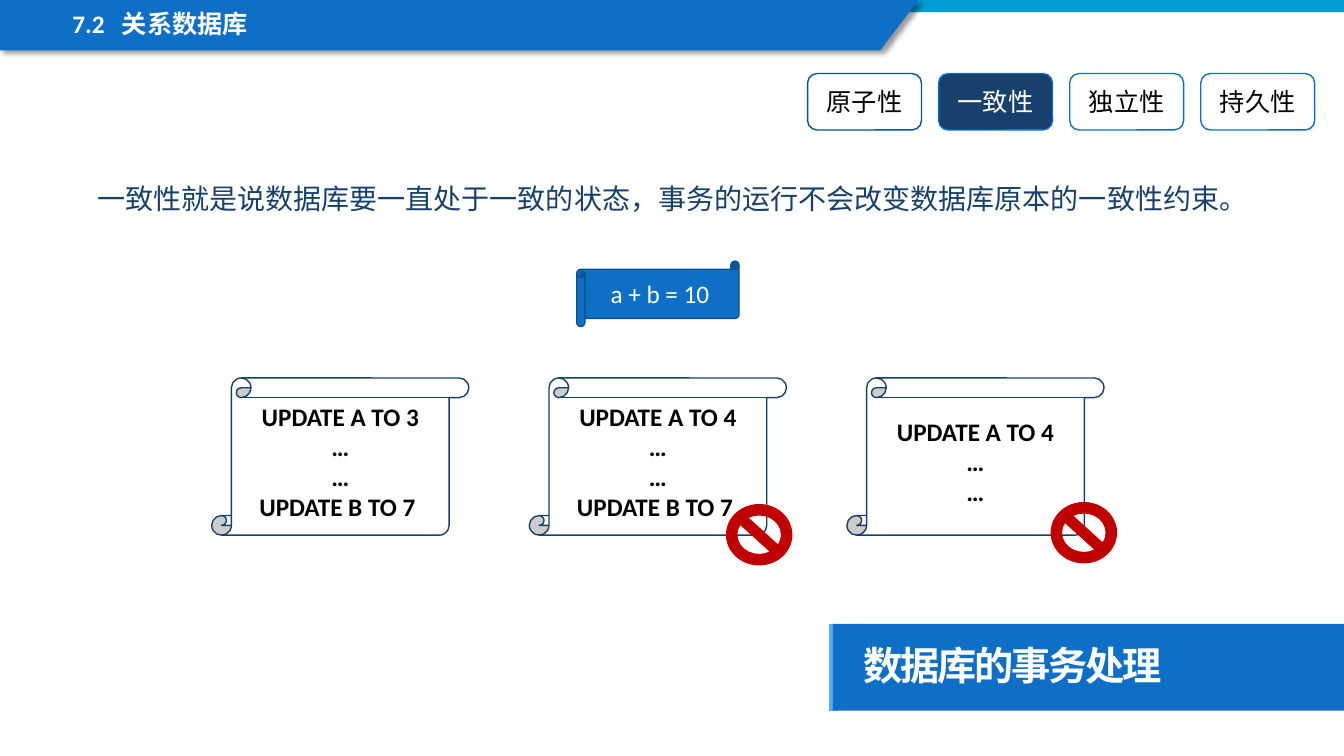
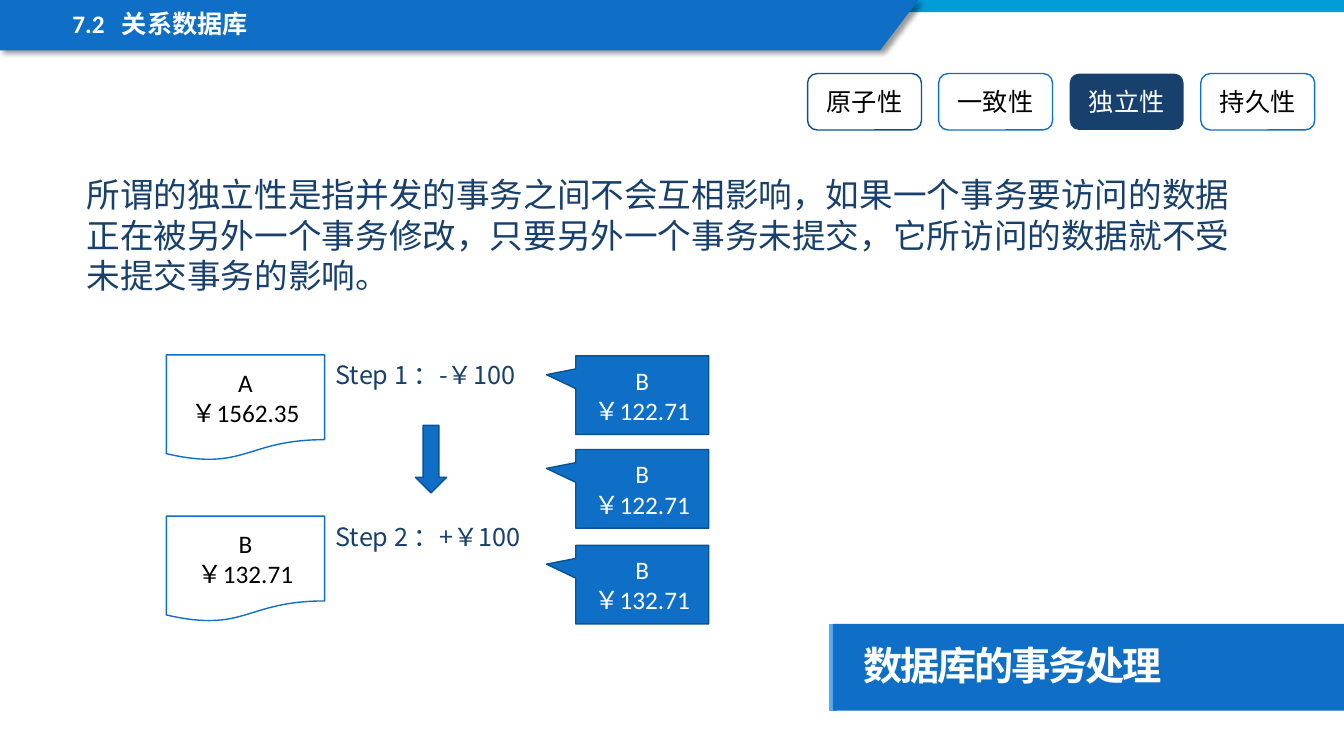
import lxml.etree
import pptx
import pptx.dml.color
import pptx.enum.shapes
import pptx.enum.text
import pptx.oxml
import pptx.oxml.ns
import pptx.util

Inches = pptx.util.Inches
Kind = pptx.enum.shapes.MSO_SHAPE
Align = pptx.enum.text.PP_ALIGN
Anchor = pptx.enum.text.MSO_ANCHOR
qn = pptx.oxml.ns.qn

BLUE, EDGE, NAVY, SKY, CYAN = "0F6FC6", "0B5292", "17406D", "59AAF2", "009DD9"
WHITE, BLACK, RED = "FFFFFF", "000000", "C00000"
LATIN, CHINESE = "Calibri", "Noto Sans CJK SC"

LABEL = {"size": 18, "name": LATIN, "color": BLACK}
LABEL_WHITE = {**LABEL, "color": WHITE}
CODE = {**LABEL, "bold": True}
HEADER = {**LABEL_WHITE, "bold": True}
TITLE = {"size": 28, "name": CHINESE, "color": WHITE, "bold": True}
NOTE = {"size": 18, "name": CHINESE, "color": NAVY}

TOPICS = ["原子性", "一致性", "独立性", "持久性"]
SHADOW = (
    f'<a:effectLst {pptx.oxml.ns.nsdecls("a")}>'
    '<a:outerShdw blurRad="50800" dist="38100" dir="2700000" algn="tl" rotWithShape="0">'
    '<a:srgbClr val="000000"><a:alpha val="40000"/></a:srgbClr>'
    '</a:outerShdw></a:effectLst>'
)


def rgb(value):
    return pptx.dml.color.RGBColor.from_string(value)


class Deck:
    """Holds the style and the current slide."""

    def __init__(self):
        self.deck = pptx.Presentation()
        self.deck.slide_width = Inches(13.33)
        self.deck.slide_height = Inches(7.5)
        self.layout = self.deck.slide_layouts[5]
        self.page = None

    def new_page(self, active, active_edge):
        first = self.page is None
        self.page = self.deck.slides.add_slide(self.layout)
        if first:
            self.share_bands()
        self.title("数据库的事务处理")
        self.section("7.2", "关系数据库")
        self.topics(active, active_edge)

    # Elements shared by all slides
    def share_bands(self):
        shapes = self.page.shapes
        rule = shapes.add_connector(
            pptx.enum.shapes.MSO_CONNECTOR.STRAIGHT,
            Inches(8.26), Inches(7.05), Inches(8.26), Inches(6.19))
        rule.line.color.rgb = rgb(SKY)
        rule.line.width = pptx.util.Pt(6)
        lxml.etree.SubElement(rule.element.spPr, qn("a:effectLst"))

        strip = self.shape(Kind.RECTANGLE, (0, 0, 13.33, 0.12), CYAN)

        outline = shapes.build_freeform(0, 0)
        corners = [(9.11, 0), (8.73, 0.5), (0, 0.5)]
        outline.add_line_segments([(Inches(x), Inches(y)) for x, y in corners])
        band = outline.convert_to_shape()
        self.paint(band, BLUE)
        band.element.spPr.remove(band.element.spPr.find(qn("a:effectLst")))
        band.element.spPr.append(pptx.oxml.parse_xml(SHADOW))

        for number, item in enumerate((rule, strip, band), 101):
            item.element.xpath("./*/p:cNvPr")[0].set("id", str(number))
            self.layout.shapes.element.append(item.element)

    def title(self, text):
        title = self.page.shapes.title
        self.place(title, (8.26, 6.19, 5.07, 0.86))
        title.fill.solid()
        title.fill.fore_color.rgb = rgb(BLUE)
        frame = title.text_frame
        frame.auto_size = pptx.enum.text.MSO_AUTO_SIZE.NONE
        margins = {"left": 0.3, "top": 0.2, "right": 0.2, "bottom": 0.2}
        for side, size in margins.items():
            setattr(frame, f"margin_{side}", Inches(size))
        self.fill_text(frame, [text], TITLE, Align.LEFT, Anchor.MIDDLE)
        para = frame.paragraphs[0]
        para.line_spacing = 0.9
        para.runs[0].font._element.set("spc", "-150")

    def section(self, number, name):
        box = self.text((0.62, 0.07, 6.96, 0.38), f"{number}\t{name}", HEADER)
        para = box.text_frame.paragraphs[0]
        para.line_spacing = 0.9
        stops = lxml.etree.SubElement(para._p.get_or_add_pPr(), qn("a:tabLst"))
        lxml.etree.SubElement(
            stops, qn("a:tab"), pos=str(Inches(0.49)), algn="l")

    def topics(self, active, active_edge):
        for index, topic in enumerate(TOPICS):
            fill, edge, style = WHITE, BLUE if index else EDGE, LABEL
            if topic == active:
                fill, edge, style = NAVY, active_edge, LABEL_WHITE
            self.shape(Kind.ROUNDED_RECTANGLE,
                       (8.01 + 1.3 * index, 0.73, 1.13, 0.56),
                       fill, edge, [topic], style)

    # Kinds of element
    def place(self, item, area):
        for name, size in zip(("left", "top", "width", "height"), area):
            setattr(item, name, Inches(size))

    def paint(self, item, fill, edge=None):
        item.shadow.inherit = False
        item.fill.solid()
        item.fill.fore_color.rgb = rgb(fill)
        if edge:
            item.line.color.rgb = rgb(edge)
            item.line.width = pptx.util.Pt(1)
        else:
            item.line.fill.background()

    def fill_text(self, frame, lines, style, align, anchor):
        frame.word_wrap = True
        frame.vertical_anchor = anchor
        for index, line in enumerate(lines):
            para = frame.add_paragraph() if index else frame.paragraphs[0]
            para.alignment = align
            span = para.add_run()
            span.text = line
            for name, value in style.items():
                if name == "color":
                    span.font.color.rgb = rgb(value)
                else:
                    value = pptx.util.Pt(value) if name == "size" else value
                    setattr(span.font, name, value)
            if style["name"] == CHINESE:
                lxml.etree.SubElement(
                    span.font._element, qn("a:ea"), typeface=CHINESE)

    def shape(self, kind, area, fill, edge=None, lines=(), style=LABEL):
        item = self.page.shapes.add_shape(kind, *map(Inches, area))
        self.paint(item, fill, edge)
        self.fill_text(item.text_frame, lines, style, Align.CENTER, Anchor.MIDDLE)
        return item

    def text(self, area, text, style, align=Align.LEFT):
        box = self.page.shapes.add_textbox(*map(Inches, area))
        self.fill_text(box.text_frame, [text], style, align, Anchor.TOP)
        return box

    def callout(self, top, lines):
        bubble = self.shape(Kind.RECTANGULAR_CALLOUT, (5.71, top, 1.32, 0.78),
                            BLUE, EDGE, lines, LABEL_WHITE)
        bubble.adjustments[0] = -0.72
        bubble.adjustments[1] = -0.26


def consistency(deck):
    deck.new_page("一致性", BLUE)
    deck.text((0.69, 1.75, 11.96, 0.44),
              "一致性就是说数据库要一直处于一致的状态，事务的运行不会改变数据库原本的一致性约束。",
              {**NOTE, "size": 20}, Align.CENTER)
    deck.shape(Kind.HORIZONTAL_SCROLL, (5.72, 2.59, 1.61, 0.65),
               BLUE, EDGE, ["a + b = 10"], LABEL_WHITE)

    # Transactions, two of which break the constraint
    transactions = [
        ["UPDATE A TO 3", "…", "…", "UPDATE B TO 7 "],
        ["UPDATE A TO 4", "…", "…", "UPDATE B TO 7 "],
        ["UPDATE A TO 4", "…", "…"],
    ]
    for index, lines in enumerate(transactions):
        deck.shape(Kind.VERTICAL_SCROLL, (2.1 + 3.15 * index, 3.75, 2.55, 1.56),
                   WHITE, NAVY, lines, CODE)
    for left, top in [(7.2, 5), (10.42, 4.98)]:
        deck.shape(Kind.NO_SYMBOL, (left, top, 0.66, 0.61), RED)


def isolation(deck):
    deck.new_page("独立性", None)
    deck.text((0.76, 1.68, 11.81, 1.31),
              "所谓的独立性是指并发的事务之间不会互相影响，如果一个事务要访问的数据"
              "正在被另外一个事务修改，只要另外一个事务未提交，它所访问的数据就不受"
              "未提交事务的影响。",
              {**NOTE, "size": 24})

    # Accounts and the steps of the transfer
    accounts = [
        (3.52, ["A", "￥1562.35"], "Step 1 ：-￥100"),
        (5.12, ["B", "￥132.71"], "Step 2 ：+￥100"),
    ]
    for top, lines, step in accounts:
        deck.shape(Kind.FLOWCHART_DOCUMENT, (1.65, top, 1.57, 1.05),
                   WHITE, BLUE, lines)
        deck.text((3.23, top, 2.05, 0.7), step, NOTE)
    deck.shape(Kind.DOWN_ARROW, (4.12, 4.22, 0.31, 0.67), BLUE, EDGE)

    # Balance of B as others see it
    for top, amount in [(3.53, "￥122.71"), (4.46, "￥122.71"), (5.41, "￥132.71")]:
        deck.callout(top, ["B", amount])


def main():
    deck = Deck()
    consistency(deck)
    isolation(deck)
    deck.deck.save("out.pptx")


if __name__ == "__main__":
    main()
